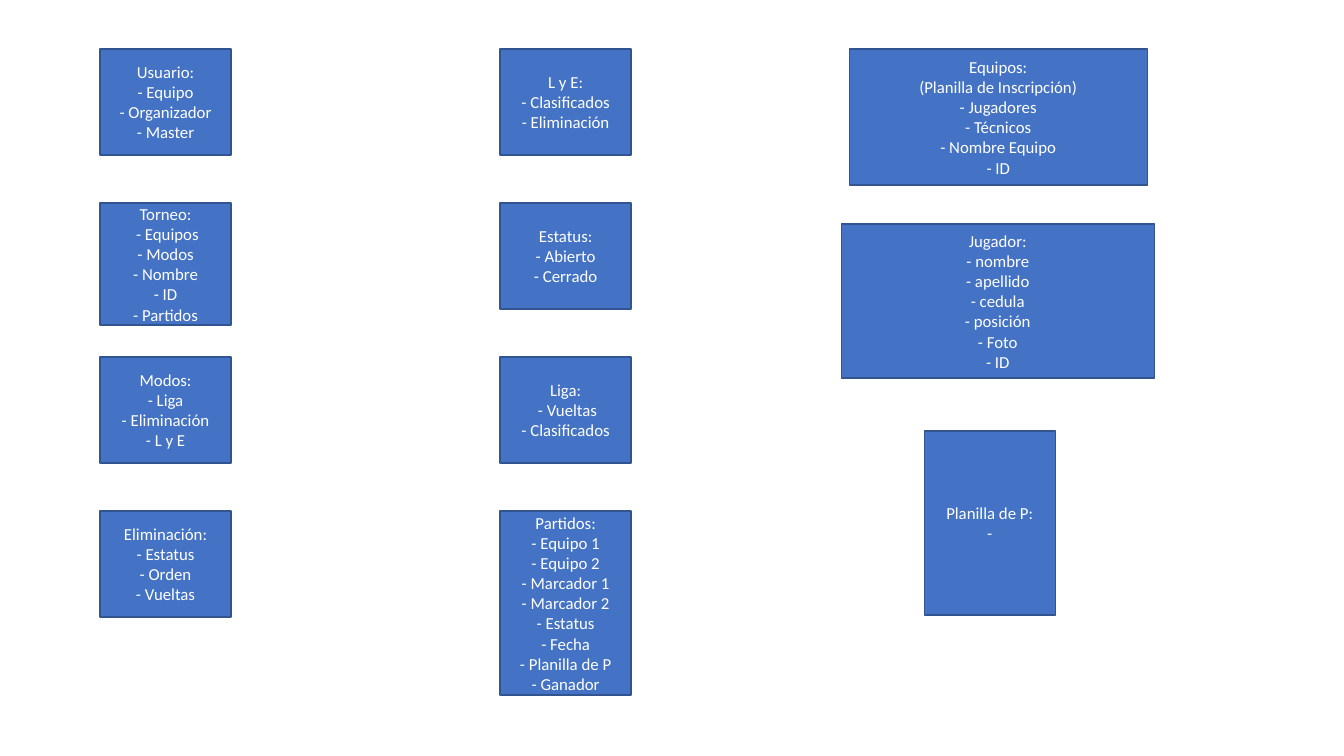
"""Build a slide of entity boxes for a tournament data model."""
from pptx import Presentation
from pptx.dml.color import RGBColor
from pptx.enum.shapes import MSO_SHAPE
from pptx.enum.text import MSO_ANCHOR, PP_ALIGN
from pptx.util import Inches, Pt

PIXEL = 914400 / 100.8
BLUE = RGBColor(0x44, 0x72, 0xC4)
DARK_BLUE = RGBColor(0x32, 0x54, 0x91)
WHITE = RGBColor(0xFF, 0xFF, 0xFF)

TOP, ROW_STEP = 49, 154
BOX_WIDTH, BOX_HEIGHT, TALL_HEIGHT = 131, 106, 184

# Within a text, \n starts a paragraph and \v breaks a line.
COLUMNS = {
    100: [
        ("Usuario:\v- Equipo\v- Organizador\v- Master", BOX_HEIGHT),
        ("Torneo:\n - Equipos\v- Modos\v- Nombre\v- ID\v- Partidos", 122),
        ("Modos:\v- Liga\v- Eliminación\v- L y E", BOX_HEIGHT),
        ("Eliminación:\v- Estatus\v- Orden\v- Vueltas", BOX_HEIGHT),
    ],
    500: [
        ("L y E:\v- Clasificados\v- Eliminación", BOX_HEIGHT),
        ("Estatus:\v- Abierto\v- Cerrado", BOX_HEIGHT),
        ("Liga:\v - Vueltas\v- Clasificados", BOX_HEIGHT),
        ("Partidos:\v- Equipo 1\v- Equipo 2\v- Marcador 1\v- Marcador 2\v"
         "- Estatus\v- Fecha\v- Planilla de P\v- Ganador", TALL_HEIGHT),
    ],
}

TEAM_BOXES = [
    ("Equipos:\n(Planilla de Inscripción)\v- Jugadores\v- Técnicos\v"
     "- Nombre Equipo\v- ID", 849, TOP, 298, 136),
    ("Jugador:\v- nombre\v- apellido\v- cedula\n- posición\n- Foto\n- ID",
     841, 224, 313, 154),
    ("Planilla de P:\v-", 924, 431, BOX_WIDTH, TALL_HEIGHT),
]


def to_emu(pixels):
    """Turn pixels into EMU."""
    return round(pixels * PIXEL)


def add_entity(page, text, left, top, width, height):
    """Add one blue box with centred white text."""
    box = page.shapes.add_shape(
        MSO_SHAPE.RECTANGLE, *map(to_emu, (left, top, width, height)))
    box.shadow.inherit = False
    box.fill.solid()
    box.fill.fore_color.rgb = BLUE
    box.line.color.rgb = DARK_BLUE
    box.line.width = Pt(1)
    frame = box.text_frame
    frame.word_wrap = True
    frame.vertical_anchor = MSO_ANCHOR.MIDDLE
    frame.text = text
    for para in frame.paragraphs:
        para.alignment = PP_ALIGN.CENTER
        para.font.name = "Calibri"
        para.font.size = Pt(12)
        para.font.color.rgb = WHITE


def add_column(page, left, entities):
    """Add a column of boxes whose tops are evenly spaced."""
    for row, (text, height) in enumerate(entities):
        add_entity(page, text, left, TOP + row * ROW_STEP, BOX_WIDTH, height)


def main():
    """Build and save the deck."""
    deck = Presentation()
    deck.slide_width, deck.slide_height = Inches(13.33), Inches(7.5)
    page = deck.slides.add_slide(deck.slide_layouts[6])
    for left, entities in COLUMNS.items():
        add_column(page, left, entities)
    for team_box in TEAM_BOXES:
        add_entity(page, *team_box)
    deck.save("out.pptx")


main()
